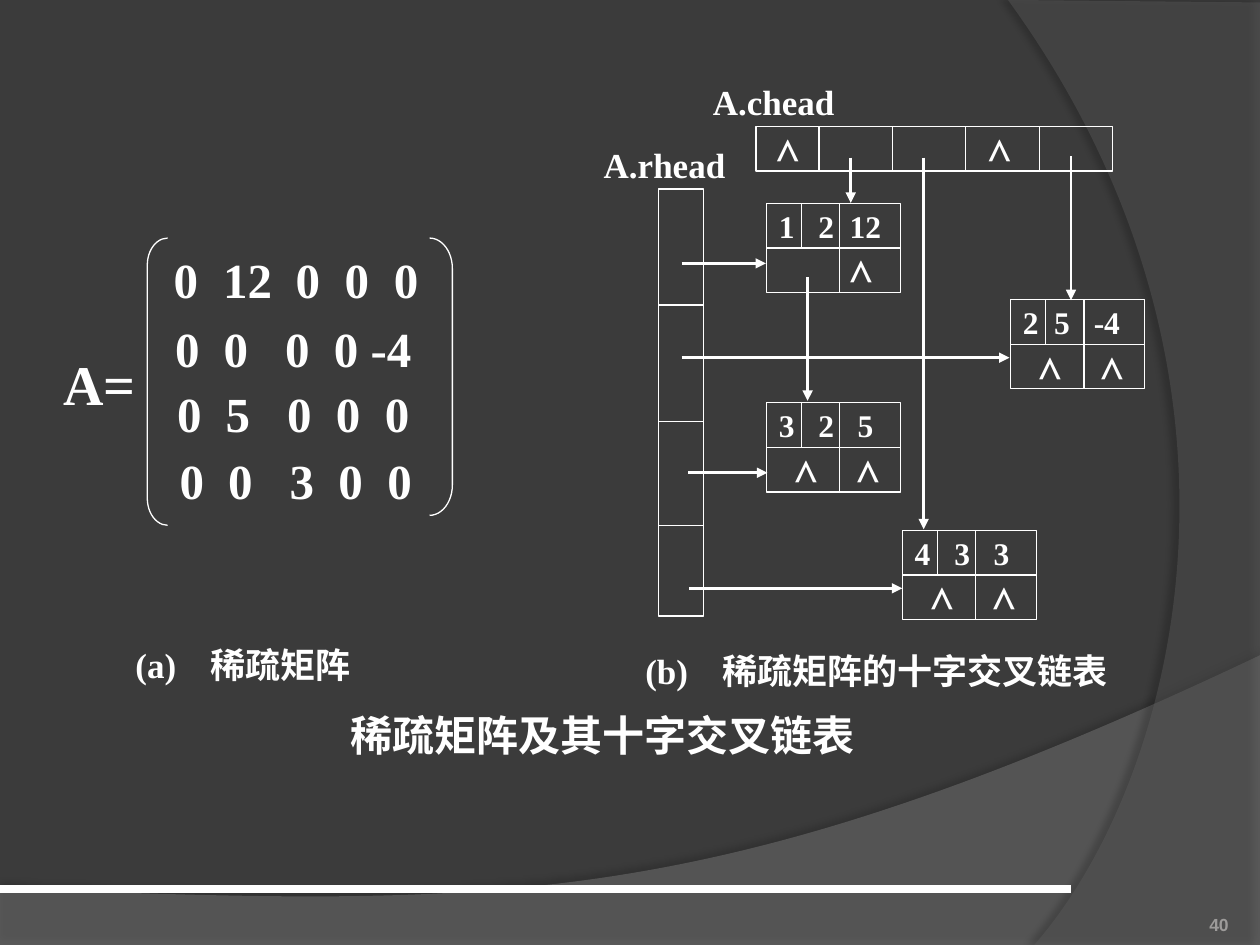
from dataclasses import dataclass

from lxml.etree import Element, SubElement
from pptx import Presentation
from pptx.dml.color import RGBColor
from pptx.enum.shapes import MSO_CONNECTOR as Connector, MSO_SHAPE as Shape
from pptx.enum.text import MSO_ANCHOR as Anchor, MSO_AUTO_SIZE as AutoSize, PP_ALIGN as Align
from pptx.oxml.ns import qn
from pptx.util import Cm, Pt


@dataclass(frozen=True)
class Theme:
    back: RGBColor = RGBColor(0x3B, 0x3B, 0x3B)
    wave: RGBColor = RGBColor(0x7F, 0x7F, 0x7F)
    side: RGBColor = RGBColor(0x5E, 0x5E, 0x5E)
    ink: RGBColor = RGBColor(0xFF, 0xFF, 0xFF)
    muted: RGBColor = RGBColor(0x9D, 0x9B, 0x9A)
    serif: str = "Times New Roman"
    sans: str = "Arial"
    name: Pt = Pt(32)
    matrix: Pt = Pt(28)
    title: Pt = Pt(24)
    label: Pt = Pt(20)
    cell: Pt = Pt(18)
    number: Pt = Pt(10)
    thin: Pt = Pt(0.75)
    arrow: Pt = Pt(1.5)
    rule: Pt = Pt(4.5)


theme = Theme()


def write(shape, text, size, align=Align.LEFT, color=theme.ink, font=theme.serif,
          anchor=Anchor.MIDDLE, stops=(), inset=0):
    """Fill a shape with one bold line; stops are tab positions and inset a left margin, in cm."""
    frame = shape.text_frame
    frame_format = dict(word_wrap=True, auto_size=AutoSize.NONE, vertical_anchor=anchor,
                        margin_left=Cm(inset), margin_top=0, margin_bottom=0, margin_right=0)
    for key, value in frame_format.items():
        setattr(frame, key, value)
    line = frame.paragraphs[0]
    line.alignment = align
    if stops:
        tabs = SubElement(line._p.get_or_add_pPr(), qn("a:tabLst"))
        for stop in stops:
            SubElement(tabs, qn("a:tab"), pos=str(Cm(stop)), algn="l")
    run = line.add_run()
    run.text = text
    for key, value in dict(name=font, size=size, bold=True).items():
        setattr(run.font, key, value)
    run.font.color.rgb = color


def connect(x1, y1, x2, y2, width, head=False):
    link = slide.shapes.add_connector(Connector.STRAIGHT, Cm(x1), Cm(y1), Cm(x2), Cm(y2))
    link.line.color.rgb = theme.ink
    link.line.width = width
    if head:
        SubElement(link.line._get_or_add_ln(), qn("a:tailEnd"), type="triangle")
    SubElement(link._element.spPr, qn("a:effectLst"))


deck = Presentation()
deck.slide_width, deck.slide_height = Cm(25.4), Cm(19.05)
slide = deck.slides.add_slide(deck.slide_layouts[5])
slide.background.fill.solid()
slide.background.fill.fore_color.rgb = theme.back

# Background sweeps: one cubic curve, closed through the corners of the slide.
# start, controls, end and corners, fill, opacity %, shadow opacity %, distance, direction
sweeps = [
    ((25.4, 13.21), [(14.2, 18.52), (9.93, 18.26)],
     [(0, 17.91), (0, 19.07), (25.4, 19.07)], theme.wave, 45, 35, Pt(3.5), 270),
    ((20.85, 19.05), [(23.75, 15.72), (25.86, 7.62)],
     [(20.32, 0), (25.4, 0.05), (25.4, 19.05)], theme.side, 40, 45, Pt(4), 180),
]
for start, controls, corners, color, opacity, shade, distance, direction in sweeps:
    builder = slide.shapes.build_freeform(*map(Cm, start))
    builder.add_line_segments([(Cm(x), Cm(y)) for x, y in corners], close=True)
    sweep = builder.convert_to_shape()
    straight = next(sweep._element.iter(qn("a:lnTo")))
    bend = Element(qn("a:cubicBezTo"))
    straight.addprevious(bend)
    for x, y in controls:
        SubElement(bend, qn("a:pt"), x=str(Cm(x) - sweep.left), y=str(Cm(y) - sweep.top))
    bend.append(straight[0])
    straight.getparent().remove(straight)
    sweep.fill.solid()
    sweep.fill.fore_color.rgb = color
    sweep.line.fill.background()
    tint = sweep._element.spPr.find(qn("a:solidFill"))[0]
    SubElement(tint, qn("a:alpha"), val=str(opacity * 1000))
    effects = SubElement(sweep._element.spPr, qn("a:effectLst"))
    shadow = SubElement(effects, qn("a:outerShdw"), blurRad=str(Pt(4)), dist=str(distance),
                        dir=str(direction * 60000), rotWithShape="0")
    black = SubElement(shadow, qn("a:srgbClr"), val="000000")
    SubElement(black, qn("a:alpha"), val=str(shade * 1000))
connect(0, 17.93, 21.59, 17.93, theme.rule)

title = slide.shapes.title
title_place = dict(left=Cm(6.12), top=Cm(14.27), width=Cm(12.07), height=Cm(1.07))
for key, value in title_place.items():
    setattr(title, key, value)
write(title, "稀疏矩阵及其十字交叉链表", theme.title, Align.CENTER)

# Free-standing text: left, top, width, height, text, size, tab stops
wide, narrow = (1, 2.46, 3.45, 4.44), (0.98, 2.22, 3.2, 4.19)
texts = [
    (3.5, 5.16, 6, 0.91, "0\t12\t0\t0\t0", theme.matrix, wide),
    (3.53, 6.56, 6, 0.91, "0\t0\t0\t0\t-4", theme.matrix, (*narrow[:3], 3.94)),
    (3.57, 7.87, 6, 0.91, "0\t5\t0\t0\t0", theme.matrix, narrow),
    (3.62, 9.22, 6, 0.91, "0\t0\t3\t0\t0", theme.matrix, narrow),
    (1.28, 7.22, 1.65, 0.99, "A=", theme.name, ()),
    (2.73, 12.97, 4.8, 0.84, "(a)\t稀疏矩阵", theme.label, (1.52,)),
    (13.01, 13.1, 9.7, 0.84, "(b)\t稀疏矩阵的十字交叉链表", theme.label, (1.55,)),
    (14.37, 1.55, 2.8, 0.99, "A.chead", theme.label, ()),
    (12.17, 2.82, 2.8, 0.99, "A.rhead", theme.label, ()),
]
for left, top, width, height, text, size, stops in texts:
    box = slide.shapes.add_textbox(Cm(left), Cm(top), Cm(width), Cm(height))
    write(box, text, size, stops=stops)
page = slide.shapes.add_textbox(Cm(22.66), Cm(17.83), Cm(2.11), Cm(1.02))
write(page, "40", theme.number, Align.RIGHT, theme.muted, theme.sans, Anchor.BOTTOM)

# Outlined shapes: preset, left, top, width, height, text, tab stops
side, node_width = 0.9, 2.7
head_left, head_top, rows_left, rows_top = 15.24, 2.55, 13.28, 3.81
outlined = [
    (Shape.LEFT_BRACKET, 2.97, 4.8, 0.41, 5.79, "", ()),
    (Shape.RIGHT_BRACKET, 8.66, 4.8, 0.46, 5.59, "", ()),
    (Shape.RECTANGLE, head_left, head_top, 7.19, side, "\t⋀\t⋀", (0.16, 4.43)),
    (Shape.RECTANGLE, rows_left, rows_top, side, 8.61, "", ()),
]
dividers = [(head_left + x, head_top, head_left + x, head_top + side)
            for x in (1.27, 2.75, 4.23, 5.71)]
dividers += [(rows_left, rows_top + y, rows_left + side, rows_top + y)
             for y in (2.34, 4.68, 6.78)]

# Each node holds row, column and value above its down and right links.
ends, near, far = "\t⋀\t⋀", 0.32, 1.57
nodes = [
    (15.45, 4.1, "1\t2\t12", (0.8, 1.43), "\t⋀", (1.43,)),
    (20.37, 6.04, "2\t5\t-4", (0.63, 1.43), ends, (near, far)),
    (15.45, 8.12, "3\t2\t5", (0.8, 1.59), ends, (near, far)),
    (18.19, 10.69, "4\t3\t3", (0.8, 1.59), ends, (near, far)),
]
for left, top, entry, entry_stops, links, link_stops in nodes:
    middle = top + side
    outlined += [(Shape.RECTANGLE, left, top, node_width, side, entry, entry_stops),
                 (Shape.RECTANGLE, left, middle, node_width, side, links, link_stops)]
    for offset, y in [(0.71, top), (1.48, top), (1.48, middle)]:
        dividers.append((left + offset, y, left + offset, y + side))

for preset, left, top, width, height, text, stops in outlined:
    part = slide.shapes.add_shape(preset, Cm(left), Cm(top), Cm(width), Cm(height))
    part.shadow.inherit = False
    part.fill.background()
    part.line.color.rgb = theme.ink
    part.line.width = theme.thin
    if preset != Shape.RECTANGLE:
        part.adjustments[0] = 1.33
    if text:
        write(part, text, theme.cell, stops=stops, inset=0.25)
for divider in dividers:
    connect(*divider, theme.thin)

for x, start, end in [(17.15, 3.18, 4.09), (18.62, 3.18, 10.67),
                      (21.59, 3.15, 6.05), (16.28, 5.59, 8.08)]:
    connect(x, start, x, end, theme.arrow, head=True)
for y, start, end in [(5.31, 13.74, 15.44), (7.21, 13.74, 20.35),
                      (9.53, 13.87, 15.47), (11.86, 13.89, 18.19)]:
    connect(start, y, end, y, theme.arrow, head=True)

deck.save("out.pptx")
